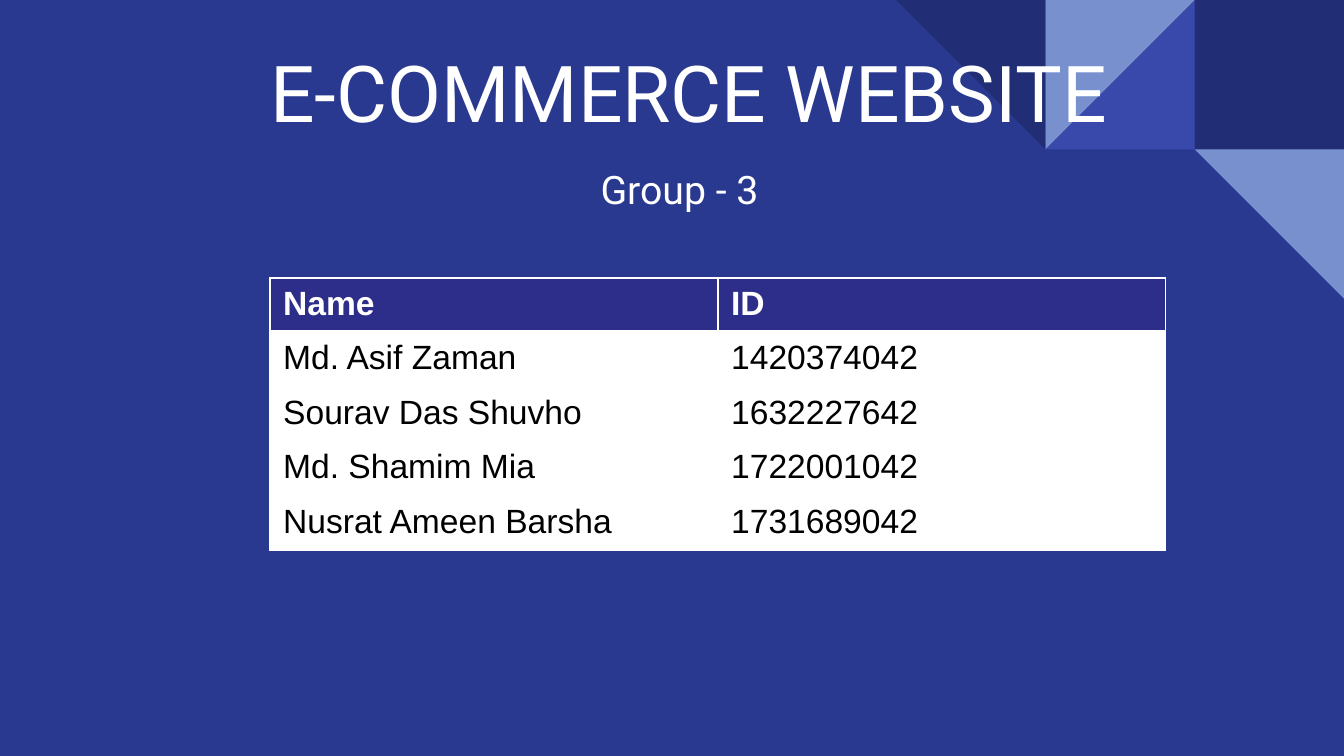
from lxml import etree
from pptx import Presentation
from pptx.dml.color import RGBColor
from pptx.enum.shapes import MSO_SHAPE
from pptx.enum.text import MSO_ANCHOR, MSO_AUTO_SIZE, PP_ALIGN
from pptx.oxml.ns import qn
from pptx.util import Pt

RECTANGLE = MSO_SHAPE.RECTANGLE
TRIANGLE = MSO_SHAPE.RIGHT_TRIANGLE
TOP, BOTTOM = MSO_ANCHOR.TOP, MSO_ANCHOR.BOTTOM
LEFT, CENTER = PP_ALIGN.LEFT, PP_ALIGN.CENTER
NO_AUTOFIT = MSO_AUTO_SIZE.NONE

BACKGROUND = RGBColor(0x2A, 0x39, 0x90)
NAVY = RGBColor(0x21, 0x2D, 0x74)
INDIGO = RGBColor(0x39, 0x49, 0xAB)
LIGHT_BLUE = RGBColor(0x78, 0x90, 0xCD)
HEADER_BLUE = RGBColor(0x2D, 0x2D, 0x8A)
WHITE = RGBColor(0xFF, 0xFF, 0xFF)
BLACK = RGBColor(0, 0, 0)

SLIDE_WIDTH, SLIDE_HEIGHT = 720, 405

# Column, row, preset shape, rotation and colour of each tile
TILES = [
    (2, 0, RECTANGLE, 0, NAVY),
    (1, 0, TRIANGLE, 270, INDIGO),
    (1, 0, TRIANGLE, 90, LIGHT_BLUE),
    (0, 0, TRIANGLE, 180, NAVY),
    (2, 1, TRIANGLE, 180, LIGHT_BLUE),
]
MEMBERS = [
    ("Name", "ID"),
    ("Md. Asif Zaman", "1420374042"),
    ("Sourav Das Shuvho", "1632227642"),
    ("Md. Shamim Mia", "1722001042"),
    ("Nusrat Ameen Barsha", "1731689042"),
]


def add_corner_tiles(slide, left, top, tile):
    """Draw the mosaic of square tiles in the corner."""
    for column, row, preset, rotation, color in TILES:
        shape = slide.shapes.add_shape(
            preset, Pt(left + column * tile), Pt(top + row * tile), Pt(tile), Pt(tile))
        shape.rotation = rotation
        shape.shadow.inherit = False
        shape.fill.solid()
        shape.fill.fore_color.rgb = color
        shape.line.fill.background()


def fill_placeholder(placeholder, text, box, size, alignment, anchor):
    """Move a placeholder to its box and set its one line of text."""
    placeholder.left, placeholder.top, placeholder.width, placeholder.height = map(Pt, box)
    frame = placeholder.text_frame
    frame.text = text
    frame.word_wrap = True
    frame.auto_size = NO_AUTOFIT
    frame.vertical_anchor = anchor
    frame.margin_left = frame.margin_right = Pt(7.2)
    frame.margin_top = frame.margin_bottom = Pt(7.2)
    paragraph = frame.paragraphs[0]
    paragraph.alignment = alignment
    paragraph.space_before = Pt(0)
    paragraph.font.name = "Roboto"
    paragraph.font.size = Pt(size)
    paragraph.font.color.rgb = WHITE


def set_borders(cell, widths):
    """Give a cell white borders; widths maps each side to points."""
    properties = cell._tc.get_or_add_tcPr()
    for index, side in enumerate("LRTB"):
        line = etree.Element(qn(f"a:ln{side}"), w=str(Pt(widths[side])))
        fill = etree.SubElement(line, qn("a:solidFill"))
        etree.SubElement(fill, qn("a:srgbClr"), val=str(WHITE))
        properties.insert(index, line)


def add_member_table(slide, left, top, width, height):
    """Add the table of group members with its header row."""
    table = slide.shapes.add_table(
        len(MEMBERS), 2, Pt(left), Pt(top), Pt(width), Pt(height)).table
    for row, values in enumerate(MEMBERS):
        header = row == 0
        table.rows[row].height = Pt(height / len(MEMBERS))
        for column, value in enumerate(values):
            cell = table.cell(row, column)
            cell.text = value
            cell.fill.solid()
            cell.fill.fore_color.rgb = HEADER_BLUE if header else WHITE
            font = cell.text_frame.paragraphs[0].font
            font.name = "Arial"
            font.size = Pt(18)
            font.bold = header
            font.color.rgb = WHITE if header else BLACK
            set_borders(cell, {"L": 1, "R": 1, "T": 3 if row == 1 else 1,
                               "B": 3 if header else 1})


def build_title_slide(presentation):
    """Build the title slide with the tiles, headings and member table."""
    slide = presentation.slides.add_slide(presentation.slide_layouts[0])
    slide.background.fill.solid()
    slide.background.fill.fore_color.rgb = BACKGROUND
    add_corner_tiles(slide, SLIDE_WIDTH - 240, 0, 80)
    title, subtitle = slide.placeholders
    tree = slide.shapes._spTree
    for placeholder in (title, subtitle):
        tree.append(placeholder._element)
    fill_placeholder(title, "E-COMMERCE WEBSITE", (137.5, 15, 531.5, 66.5), 42, LEFT, BOTTOM)
    fill_placeholder(subtitle, "Group - 3", (145, 81.5, 438, 40), 21, CENTER, TOP)
    add_member_table(slide, 144.5, 149, 480, 146)


presentation = Presentation()
presentation.slide_width = Pt(SLIDE_WIDTH)
presentation.slide_height = Pt(SLIDE_HEIGHT)
build_title_slide(presentation)
presentation.save("out.pptx")
